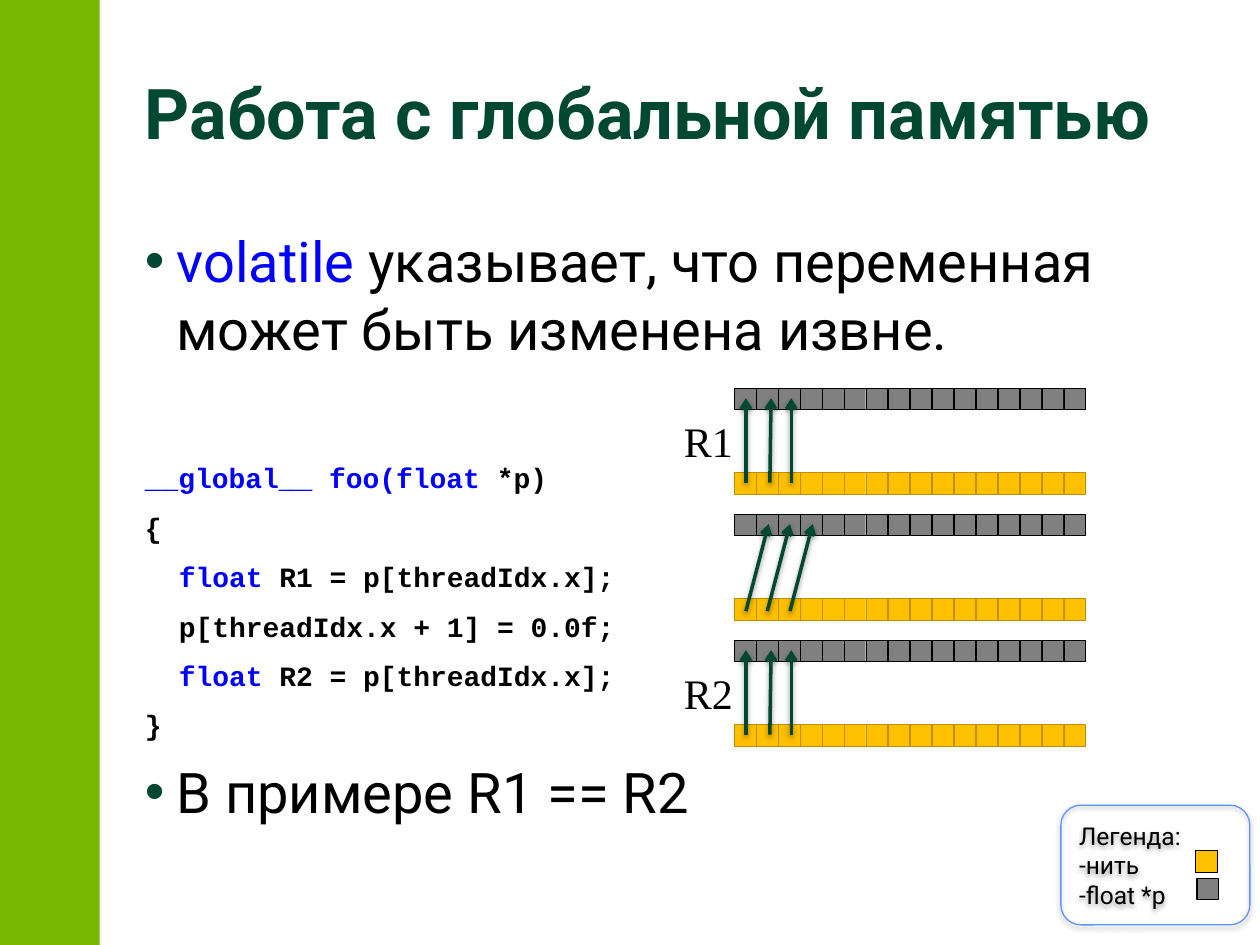
"""Build the slide on global memory access and volatile variables."""
from lxml import etree
from pptx import Presentation
from pptx import util as u
from pptx.dml.color import RGBColor
from pptx.enum import shapes, text
from pptx.oxml import ns

GREEN = RGBColor(0x76, 0xB9, 0x00)
DARK = RGBColor(0x00, 0x48, 0x31)
BLUE = RGBColor(0x00, 0x00, 0xFF)
BLACK = RGBColor(0x00, 0x00, 0x00)
GRAY = RGBColor(0x80, 0x80, 0x80)
GOLD = RGBColor(0xFF, 0xC0, 0x00)
BROWN = RGBColor(0xBD, 0x8E, 0x00)
FRAME = RGBColor(0x60, 0x94, 0xFD)

CELL = 0.17
PITCH = 0.1743
CELLS = 16
ROW_LEFT = 5.83
CODE = [
    (0, [("__global__ foo(float", BLUE), (" *p)", BLACK)]),
    (0, [("{", BLACK)]),
    (0.27, [("float", BLUE), (" R1 = p[threadIdx.x];", BLACK)]),
    (0.27, [("p[threadIdx.x + 1] = 0.0f;", BLACK)]),
    (0.27, [("float", BLUE), (" R2 = p[threadIdx.x];", BLACK)]),
    (0, [("}", BLACK)]),
]
STRAIGHT = [(5.92, 5.92), (6.11, 6.12), (6.28, 6.28)]
SLANTED = [(6.27, 6.45), (6.09, 6.27), (5.92, 6.1)]


def add_child(parent, tag, **attrs):
    """Append a DrawingML element and return it."""
    return etree.SubElement(parent, ns.qn(tag), attrs)


def add_run(p, content, size=32, font="Roboto", color=BLACK, bold=False):
    """Add formatted text to a paragraph."""
    r = p.add_run()
    r.text = content
    r.font.size = u.Pt(size)
    r.font.name = font
    r.font.color.rgb = color
    r.font.bold = bold


def place(sp, left, top, width, height):
    """Move and size a shape in inches."""
    sp.left, sp.top = u.Inches(left), u.Inches(top)
    sp.width, sp.height = u.Inches(width), u.Inches(height)


def add_body_paragraph(tf, runs, margin=0.25, bullet=False, before=6, **fmt):
    """Add a body paragraph from pairs of text and colour."""
    p = tf.paragraphs[0]
    if p.runs:
        p = tf.add_paragraph()
    p.space_before, p.space_after = u.Pt(before), u.Pt(3)
    pPr = p._p.get_or_add_pPr()
    pPr.set("marL", str(u.Inches(margin)))
    pPr.set("indent", str(u.Inches(-0.25 if bullet else 0)))
    if bullet:
        add_child(add_child(pPr, "a:buClr"), "a:srgbClr", val=str(DARK))
        add_child(pPr, "a:buFont", typeface="Arial")
        add_child(pPr, "a:buChar", char="•")
    else:
        add_child(pPr, "a:buNone")
    for content, color in runs:
        add_run(p, content, color=color, **fmt)


def add_box(parent, kind, at, fill=None, line=None, weight=0.25):
    """Add a preset shape without shadow."""
    sp = parent.add_shape(kind, *(u.Inches(v) for v in at))
    sp.shadow.inherit = False
    if fill is None:
        sp.fill.background()
    else:
        sp.fill.solid()
        sp.fill.fore_color.rgb = fill
    if line is None:
        sp.line.fill.background()
    else:
        sp.line.color.rgb = line
        sp.line.width = u.Pt(weight)
    return sp


def add_shadow(sp):
    """Give a shape or connector a soft shadow below it."""
    spPr = sp._element.spPr
    effects = spPr.find(ns.qn("a:effectLst"))
    if effects is None:
        effects = add_child(spPr, "a:effectLst")
    shadow = add_child(effects, "a:outerShdw", blurRad=str(u.Pt(3.1)),
                       dist=str(u.Pt(1.6)), dir="5400000", rotWithShape="0")
    color = add_child(shadow, "a:srgbClr", val=str(BLACK))
    add_child(color, "a:alpha", val="38000")


def add_cell_row(slide, top, fill, line):
    """Add one grouped row of equal cells."""
    group = slide.shapes.add_group_shape()
    for i in range(CELLS):
        at = (ROW_LEFT + i * PITCH, top, CELL, CELL)
        add_box(group.shapes, shapes.MSO_SHAPE.RECTANGLE, at, fill, line)


def add_arrow(slide, x1, y1, x2, y2):
    """Add a shadowed arrow between two points."""
    sp = slide.shapes.add_connector(
        shapes.MSO_CONNECTOR.STRAIGHT, *(u.Inches(v) for v in (x1, y1, x2, y2)))
    sp.line.color.rgb = DARK
    sp.line.width = u.Pt(2)
    add_child(sp.line._get_or_add_ln(), "a:tailEnd", type="arrow")
    add_shadow(sp)


def add_access(slide, top, arrows, drop=0.75):
    """Add a memory row, a thread row and the arrows between them."""
    add_cell_row(slide, top, GRAY, BLACK)
    add_cell_row(slide, top + 0.67, GOLD, BROWN)
    for x1, x2 in arrows:
        add_arrow(slide, x1, top + drop, x2, top + 0.08)


def add_label(slide, content, top):
    """Add a register label left of its rows."""
    sp = slide.shapes.add_textbox(
        u.Inches(5.33), u.Inches(top), u.Inches(0.59), u.Inches(0.5))
    sp.text_frame.word_wrap = False
    add_run(sp.text_frame.paragraphs[0], content, size=24,
            font="Times New Roman")


def add_legend(slide):
    """Add the grouped legend with its two colour samples."""
    items = slide.shapes.add_group_shape().shapes
    sp = add_box(items, shapes.MSO_SHAPE.ROUNDED_RECTANGLE,
                 (8.42, 6.39, 1.5, 0.95), line=FRAME, weight=0.75)
    add_shadow(sp)
    tf = sp.text_frame
    tf.vertical_anchor = text.MSO_ANCHOR.MIDDLE
    for i, content in enumerate(("Легенда:", "-нить", "-float *p")):
        p = tf.add_paragraph() if i else tf.paragraphs[0]
        p.alignment = text.PP_ALIGN.LEFT
        add_run(p, content, size=14)
    for left, top, fill, weight in ((9.5, 6.97, GRAY, 0.75),
                                    (9.49, 6.75, GOLD, 0.25)):
        add_box(items, shapes.MSO_SHAPE.RECTANGLE, (left, top, CELL, CELL),
                fill, BLACK, weight)


def fill_title(sp):
    """Place and write the title."""
    place(sp, 1.05, 0.3, 8.57, 1.26)
    sp.text_frame.vertical_anchor = text.MSO_ANCHOR.MIDDLE
    p = sp.text_frame.paragraphs[0]
    p.alignment = text.PP_ALIGN.LEFT
    p.line_spacing = 0.9
    add_run(p, "Работа с глобальной памятью", size=40, color=DARK, bold=True)


def fill_body(sp):
    """Place and write the list with the code sample."""
    place(sp, 1.05, 1.75, 8.57, 4.96)
    tf = sp.text_frame
    tf.auto_size = text.MSO_AUTO_SIZE.NONE
    add_body_paragraph(tf, [
        ("volatile", BLUE),
        (" указывает, что переменная может быть изменена извне.", BLACK),
    ], bullet=True)
    for i, (margin, runs) in enumerate(CODE):
        add_body_paragraph(tf, runs, margin, before=6 if i else 54,
                           size=16, font="Courier New", bold=True)
    add_body_paragraph(tf, [("В примере R1 == R2", BLACK)], bullet=True)


def main():
    """Build and save the presentation."""
    prs = Presentation()
    prs.slide_width, prs.slide_height = u.Inches(10), u.Inches(7.5)
    slide = prs.slides.add_slide(prs.slide_layouts[1])
    add_box(slide.shapes, shapes.MSO_SHAPE.RECTANGLE, (0, 0, 0.79, 7.5), GREEN)
    fill_title(slide.shapes.title)
    fill_body(slide.placeholders[1])
    add_access(slide, 3.08, STRAIGHT)
    add_access(slide, 4.08, SLANTED, drop=0.77)
    add_access(slide, 5.08, STRAIGHT)
    add_legend(slide)
    add_label(slide, "R1", 3.25)
    add_label(slide, "R2", 5.25)
    prs.save("out.pptx")


if __name__ == "__main__":
    main()
